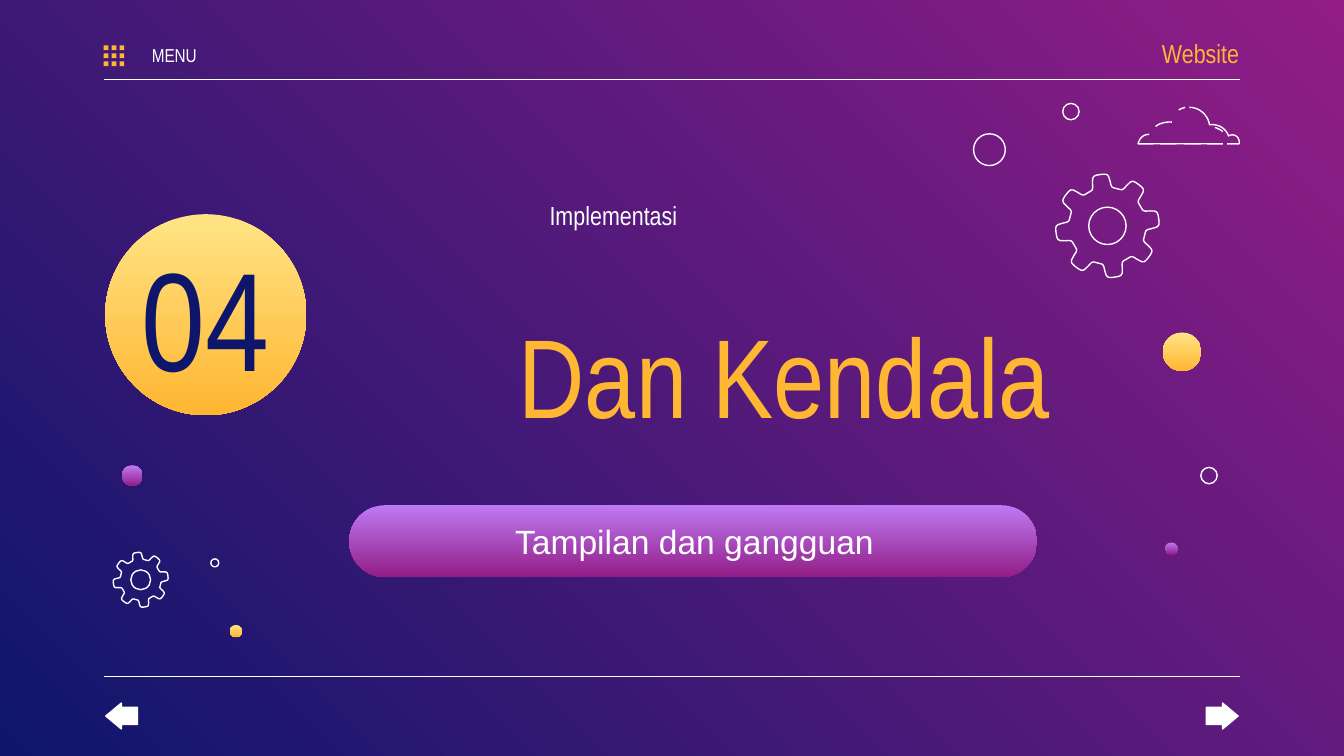
from dataclasses import dataclass
from itertools import product
from math import cos, pi, radians, sin, tanh

from pptx import Presentation
from pptx.dml.color import RGBColor
from pptx.enum.shapes import MSO_CONNECTOR, MSO_SHAPE
from pptx.enum.text import MSO_ANCHOR, MSO_AUTO_SIZE, PP_ALIGN
from pptx.oxml.ns import qn
from pptx.util import Cm, Pt
from lxml.etree import SubElement


@dataclass(frozen=True)
class Theme:
    """Colours, fonts and type sizes of the slide."""

    white: str = "FFFFFF"
    gold: str = "FFB632"
    navy: str = "0E166C"
    backdrop: tuple = ("921D87", "0E166C")
    gold_fade: tuple = ("FFE485", "FFB632")
    purple_fade: tuple = ("BE7AF3", "921D87")
    narrow: str = "Arial Narrow"
    regular: str = "Arial"
    title_size: int = 60
    number_size: int = 75
    subtitle_size: int = 18
    label_size: int = 14
    menu_size: int = 10
    line_width: float = 0.75


class SlideBuilder:
    """Draws styled elements on the current slide, with lengths in centimetres."""

    def __init__(self, slide, theme):
        self.slide = slide
        self.shapes = slide.shapes
        self.theme = theme

    def fade(self, fill, colours, angle=270):
        """Fill with a two-stop linear gradient."""
        fill.gradient()
        fill.gradient_angle = angle
        for stop, colour, position in zip(fill.gradient_stops, colours, (0, 1)):
            stop.color.rgb = RGBColor.from_string(colour)
            stop.position = position

    def stroke(self, line):
        """Apply the thin white line."""
        line.color.rgb = RGBColor.from_string(self.theme.white)
        line.width = Pt(self.theme.line_width)

    def shape(self, kind, left, top, width, height, fill=None):
        """Add a preset shape: gradient, solid, or white outline without a fill."""
        shape = self.shapes.add_shape(kind, Cm(left), Cm(top), Cm(width), Cm(height))
        shape.shadow.inherit = False
        if fill is None:
            shape.fill.background()
            self.stroke(shape.line)
            return shape
        shape.line.fill.background()
        if isinstance(fill, tuple):
            self.fade(shape.fill, fill)
        else:
            shape.fill.solid()
            shape.fill.fore_color.rgb = RGBColor.from_string(fill)
        return shape

    def circle(self, centre_x, centre_y, diameter, fill=None):
        """Add a circle around its centre."""
        radius = diameter / 2
        return self.shape(MSO_SHAPE.OVAL, centre_x - radius, centre_y - radius,
                          diameter, diameter, fill)

    def rule(self, left, right, y):
        """Add a horizontal line."""
        connector = self.shapes.add_connector(
            MSO_CONNECTOR.STRAIGHT, Cm(left), Cm(y), Cm(right), Cm(y))
        self.stroke(connector.line)
        SubElement(connector.element.spPr, qn("a:effectLst"))

    def outline(self, points, close=False):
        """Add an unfilled white outline through the points."""
        vertices = [(Cm(x), Cm(y)) for x, y in points]
        builder = self.shapes.build_freeform(*vertices[0], scale=1.0)
        builder.add_line_segments(vertices[1:], close=close)
        shape = builder.convert_to_shape()
        shape.shadow.inherit = False
        shape.fill.background()
        self.stroke(shape.line)

    def curve(self, controls, steps=10):
        """Add a chain of cubic curves that share their end points."""
        points = [controls[0]]
        for start in range(0, len(controls) - 1, 3):
            segment = controls[start:start + 4]
            for step in range(1, steps + 1):
                t = step / steps
                weights = ((1 - t) ** 3, 3 * t * (1 - t) ** 2, 3 * t * t * (1 - t), t ** 3)
                points.append(tuple(
                    sum(weight * point[axis] for weight, point in zip(weights, segment))
                    for axis in (0, 1)))
        self.outline(points)

    def gear(self, centre_x, centre_y, radius, teeth=8, tilt=-8, steps=192):
        """Add a gear with rounded teeth and a round hub."""
        points = []
        for step in range(steps):
            angle = 2 * pi * step / steps
            reach = radius * (0.87 + 0.13 * tanh(3 * cos(teeth * angle)))
            turn = angle + radians(tilt)
            points.append((centre_x + reach * sin(turn), centre_y - reach * cos(turn)))
        self.outline(points, close=True)
        self.circle(centre_x, centre_y, 0.72 * radius)

    def arrow(self, kind, left, top):
        """Add a solid navigation arrow with softened corners."""
        arrow = self.shape(kind, left, top, 0.6, 0.49, self.theme.white)
        arrow.adjustments[0] = 0.66
        arrow.adjustments[1] = 0.6
        self.stroke(arrow.line)

    def set_text(self, shape, box, text, size, colour, font=None, align=PP_ALIGN.CENTER,
                 anchor=MSO_ANCHOR.MIDDLE, insets=(0.25, 0.25, 0.25, 0.25)):
        """Place a text holder and set its one formatted paragraph."""
        shape.left, shape.top, shape.width, shape.height = map(Cm, box)
        frame = shape.text_frame
        frame.word_wrap = True
        frame.auto_size = MSO_AUTO_SIZE.NONE
        frame.vertical_anchor = anchor
        (frame.margin_left, frame.margin_top,
         frame.margin_right, frame.margin_bottom) = map(Cm, insets)
        paragraph = frame.paragraphs[0]
        paragraph.text = text
        paragraph.alignment = align
        paragraph.space_before = Pt(0)
        paragraph.font.name = font or self.theme.narrow
        paragraph.font.size = Pt(size)
        paragraph.font.color.rgb = RGBColor.from_string(colour)

    def label(self, box, text, size, colour, **style):
        """Add a text box."""
        self.set_text(self.shapes.add_textbox(*map(Cm, box)), box, text, size, colour, **style)


CLOUD = (
    [(22.48, 2.03), (22.68, 2.03), (22.83, 2.18), (22.86, 2.36), (23.01, 2.34),
     (23.16, 2.41), (23.22, 2.57), (23.32, 2.51), (23.44, 2.59), (23.42, 2.72),
     (23.42, 2.72), (23.19, 2.72), (23.19, 2.72)],
    [(22.4, 2.03), (22.4, 2.03), (22.3, 2.06), (22.28, 2.08)],
    [(23.11, 2.72), (23.11, 2.72), (21.51, 2.72), (21.51, 2.72),
     (21.51, 2.72), (21.54, 2.54), (21.72, 2.54)],
    [(22.96, 2.41), (22.96, 2.41), (23.06, 2.44), (23.11, 2.49)],
    [(22.15, 2.31), (22.15, 2.31), (21.97, 2.29), (21.84, 2.39)],
)


def main():
    """Build the section slide and save it."""
    theme = Theme()
    presentation = Presentation()
    presentation.slide_width, presentation.slide_height = Cm(25.4), Cm(14.29)
    slide = presentation.slides.add_slide(presentation.slide_layouts[0])
    builder = SlideBuilder(slide, theme)
    builder.fade(slide.background.fill, theme.backdrop, angle=225)

    for y in (1.5, 12.79):
        builder.rule(1.96, 23.44, y)
    pill = builder.shape(MSO_SHAPE.ROUNDED_RECTANGLE, 6.6, 9.55, 13, 1.36, theme.purple_fade)
    pill.adjustments[0] = 0.5
    for centre_x, centre_y, diameter, fill in (
            (3.89, 5.95, 3.8, theme.gold_fade), (22.34, 6.65, 0.73, theme.gold_fade),
            (4.46, 11.93, 0.23, theme.gold_fade), (2.5, 8.99, 0.39, theme.purple_fade),
            (22.14, 10.37, 0.23, theme.purple_fade), (20.24, 2.11, 0.31, None),
            (22.85, 8.99, 0.31, None), (18.7, 2.83, 0.6, None), (4.06, 10.64, 0.15, None)):
        builder.circle(centre_x, centre_y, diameter, fill)
    for controls in CLOUD:
        builder.curve(controls)
    builder.gear(20.93, 4.27, 0.98)
    builder.gear(2.66, 10.96, 0.52)
    builder.arrow(MSO_SHAPE.LEFT_ARROW, 2, 13.29)
    builder.arrow(MSO_SHAPE.RIGHT_ARROW, 22.8, 13.29)
    for column, row in product(range(3), repeat=2):
        builder.shape(MSO_SHAPE.RECTANGLE, 1.96 + 0.15 * column, 0.86 + 0.15 * row,
                      0.09, 0.09, theme.gold)

    title, subtitle = slide.placeholders
    for holder in (title, subtitle):
        builder.shapes.element.append(holder.element)
    builder.set_text(title, (6.6, 4.65, 13.49, 4.83), "Dan Kendala", theme.title_size,
                     theme.gold, align=PP_ALIGN.RIGHT)
    builder.set_text(subtitle, (6.76, 9.8, 12.73, 0.84), "Tampilan dan gangguan",
                     theme.subtitle_size, theme.white, font=theme.regular)
    builder.label((1.98, 4.9, 3.81, 2.11), "04", theme.number_size, theme.navy)
    builder.label((6.83, 3.63, 9.53, 1.96), "Implementasi", theme.label_size, theme.white,
                  anchor=MSO_ANCHOR.TOP, insets=(0.25, 0.13, 0.25, 0.13))
    builder.label((19.61, 0.58, 3.81, 0.84), "Website", theme.label_size, theme.gold,
                  align=PP_ALIGN.RIGHT, insets=(0.25, 0.25, 0, 0.25))
    builder.label((2.57, 0.76, 1.45, 0.58), "MENU", theme.menu_size, theme.white,
                  insets=(0, 0.25, 0, 0.25))
    presentation.save("out.pptx")


if __name__ == "__main__":
    main()
